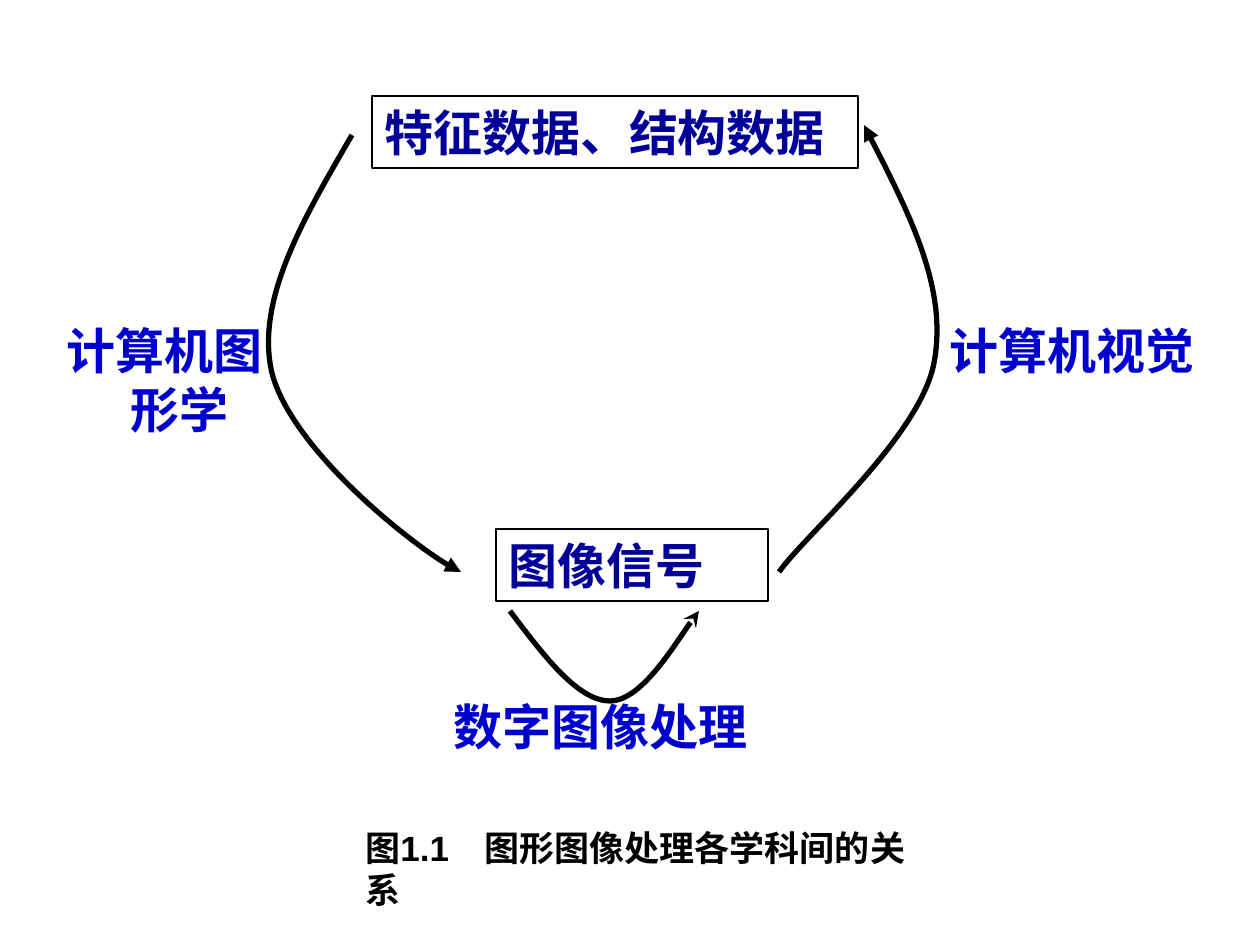
import lxml.etree
import pptx
import pptx.dml.color
import pptx.enum.shapes
import pptx.enum.text
import pptx.oxml.ns
import pptx.util

EMU_PER_PX = 914400 / 126
BLACK = pptx.dml.color.RGBColor(0x00, 0x00, 0x00)
NAVY = pptx.dml.color.RGBColor(0x00, 0x00, 0x99)
BLUE = pptx.dml.color.RGBColor(0x00, 0x00, 0xCC)
HANGING_INDENT = 64
CAPTION_TAB = 119

DATA_BOXES = [
    ("特征数据、结构数据", (372, 96, 486, 72)),
    ("图像信号", (496, 529, 272, 72)),
]
DISCIPLINES = [
    ("计算机图形学", (54, 314, 248, 131)),
    ("计算机视觉", (937, 314, 277, 72)),
    ("数字图像处理", (441, 690, 348, 72)),
]
FLOWS = [
    ([(510, 611), (544, 656), (578, 701), (610, 701),
      (641, 701), (688, 624), (699, 611)], "tailEnd", "stealth"),
    ([(352, 135), (304, 218), (255, 300), (272, 373),
      (291, 446), (425, 557), (461, 572)], "tailEnd", "triangle"),
    ([(864, 125), (906, 207), (948, 289), (934, 363),
      (920, 437), (803, 537), (779, 572)], "headEnd", "triangle"),
]


def px(length):
    return pptx.util.Emu(round(length * EMU_PER_PX))


def qn(tag):
    return pptx.oxml.ns.qn(tag)


def write_text(shape, text, size, font_name, color):
    frame = shape.text_frame
    frame.word_wrap = True
    frame.auto_size = pptx.enum.text.MSO_AUTO_SIZE.SHAPE_TO_FIT_TEXT
    frame.vertical_anchor = pptx.enum.text.MSO_ANCHOR.TOP
    paragraph = frame.paragraphs[0]
    paragraph.text = text
    paragraph.alignment = pptx.enum.text.PP_ALIGN.LEFT
    properties = paragraph._p.get_or_add_pPr()
    if "\t" in text:
        tabs = lxml.etree.SubElement(properties, qn("a:tabLst"))
        lxml.etree.SubElement(
            tabs, qn("a:tab"), pos=str(px(CAPTION_TAB)), algn="l")
    else:
        properties.set("marL", str(px(HANGING_INDENT)))
        properties.set("indent", str(-px(HANGING_INDENT)))
    paragraph.font.size = pptx.util.Pt(size)
    paragraph.font.name = font_name
    paragraph.font.bold = True
    paragraph.font.color.rgb = color


def add_label(slide, text, bounds, size, font_name, color):
    label = slide.shapes.add_textbox(*map(px, bounds))
    write_text(label, text, size, font_name, color)


def outline(shape, width):
    shape.shadow.inherit = False
    shape.fill.background()
    shape.line.color.rgb = BLACK
    shape.line.width = pptx.util.Pt(width)


def add_data_box(slide, text, bounds):
    box = slide.shapes.add_shape(
        pptx.enum.shapes.MSO_SHAPE.RECTANGLE, *map(px, bounds))
    outline(box, 0.75)
    write_text(box, text, 28, "DejaVu Sans", NAVY)


def add_flow(slide, points, arrow_end, arrow_type):
    start, *controls = [(px(x), px(y)) for x, y in points]
    builder = slide.shapes.build_freeform(*start)
    builder.add_line_segments(controls, close=False)
    flow = builder.convert_to_shape()
    outline(flow, 3)
    curve = next(flow._element.iter(qn("a:path")))
    segments = curve.findall(qn("a:lnTo"))
    for first in range(0, len(segments), 3):
        bezier = lxml.etree.SubElement(curve, qn("a:cubicBezTo"))
        for segment in segments[first:first + 3]:
            bezier.append(segment[0])
            curve.remove(segment)
    line = flow._element.spPr.find(qn("a:ln"))
    lxml.etree.SubElement(line, qn(f"a:{arrow_end}"), type=arrow_type)


def main():
    presentation = pptx.Presentation()
    presentation.slide_width = pptx.util.Inches(10)
    presentation.slide_height = pptx.util.Inches(7.5)
    slide = presentation.slides.add_slide(presentation.slide_layouts[6])
    add_label(slide, "图1.1\t图形图像处理各学科间的关系",
              (353, 820, 596, 97), 20, "Arial", BLACK)
    for text, bounds in DATA_BOXES:
        add_data_box(slide, text, bounds)
    for text, bounds in DISCIPLINES:
        add_label(slide, text, bounds, 28, "DejaVu Sans", BLUE)
    for points, arrow_end, arrow_type in FLOWS:
        add_flow(slide, points, arrow_end, arrow_type)
    presentation.save("out.pptx")


if __name__ == "__main__":
    main()
